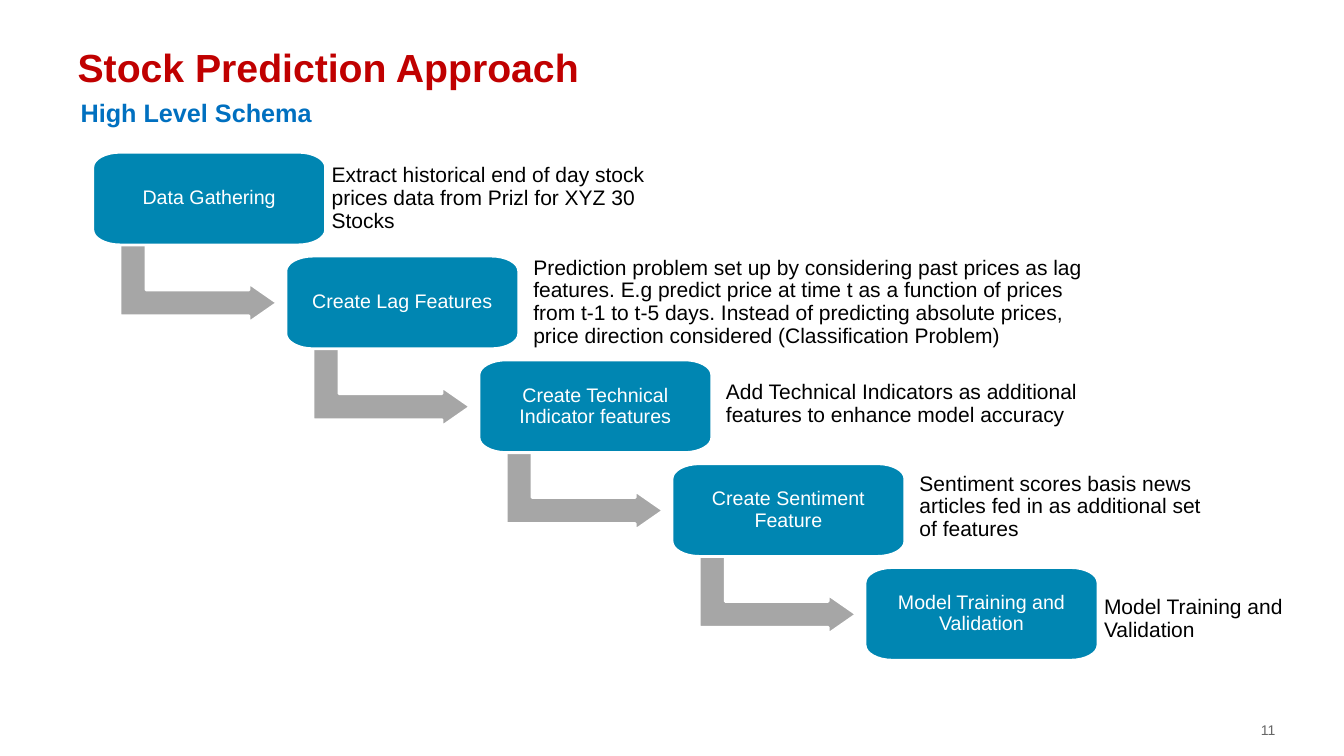
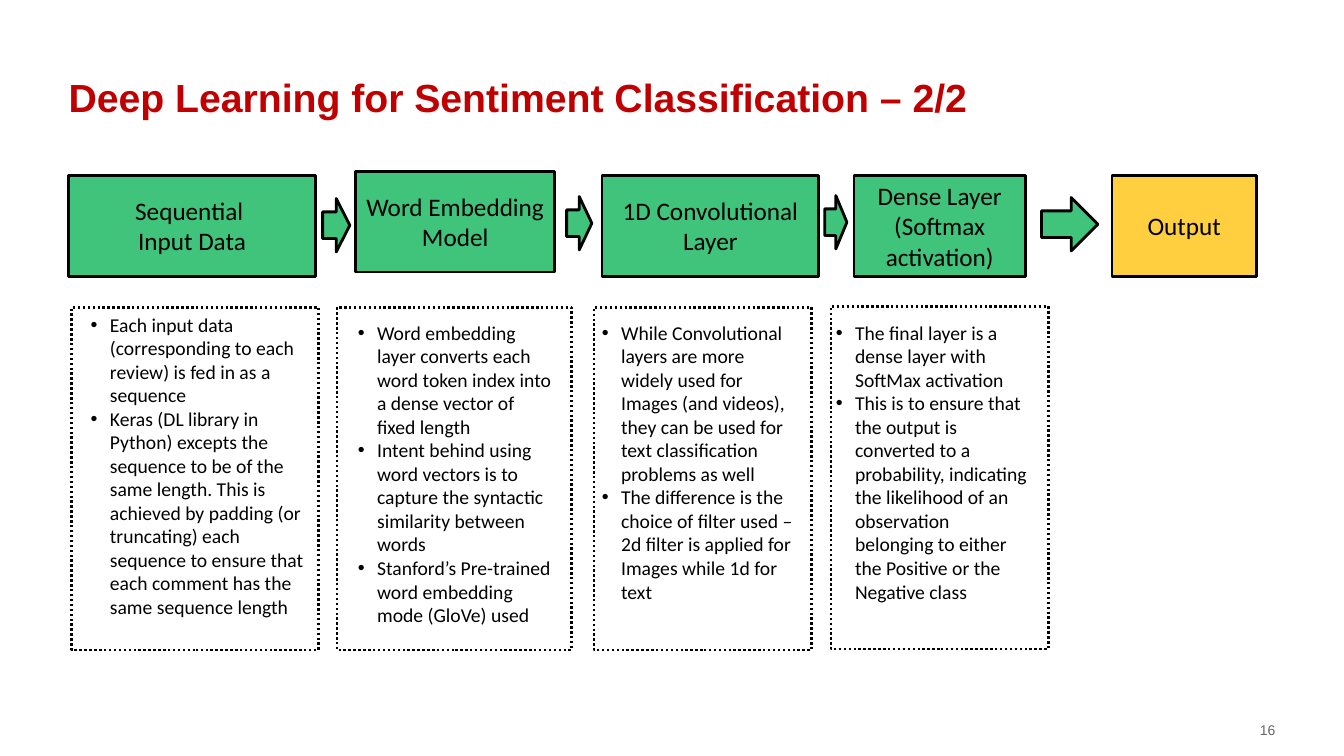
from dataclasses import dataclass

from lxml.etree import SubElement
from pptx import Presentation
from pptx.dml.color import RGBColor
from pptx.enum.dml import MSO_LINE
from pptx.enum.shapes import MSO_SHAPE
from pptx.enum.text import MSO_ANCHOR, MSO_AUTO_SIZE, PP_ALIGN
from pptx.oxml.ns import qn
from pptx.util import Inches, Pt


@dataclass(frozen=True)
class Theme:
    title: str = "C00000"
    subtitle: str = "0070C0"
    step: str = "0086B2"
    bend: str = "A6A6A6"
    layer: str = "00B050"
    output: str = "FFC000"
    number: str = "666666"
    black: str = "000000"
    white: str = "FFFFFF"
    head_font: str = "Arial"
    flow_font: str = "Calibri"
    title_size: float = 28
    subtitle_size: float = 18
    step_size: float = 14
    detail_size: float = 15
    layer_size: float = 18
    list_size: float = 14
    number_size: float = 10


T = Theme()

# Step name, description, description left, top and width
STEPS = [
    ("Data Gathering",
     "Extract historical end of day stock prices data from Prizl for XYZ 30 Stocks",
     3.23, 1.6, 3.43),
    ("Create Lag Features",
     "Prediction problem set up by considering past prices as lag features. "
     "E.g predict price at time t as a function of prices from t-1 to t-5 days. "
     "Instead of predicting absolute prices, price direction considered "
     "(Classification Problem)",
     5.23, 2.63, 5.66),
    ("Create Technical Indicator features",
     "Add Technical Indicators as additional features to enhance model accuracy",
     7.14, 3.64, 4.01),
    ("Create Sentiment Feature",
     "Sentiment scores basis news articles fed in as additional set of features",
     9.06, 4.66, 2.98),
    ("Model Training and Validation", "Model Training and Validation",
     10.89, 5.77, 2.23),
]
STEP_LEFT, STEP_TOP = 0.92, 1.51
LAST_LEFT, LAST_TOP = 8.58, 5.63
STEP_DX = (LAST_LEFT - STEP_LEFT) / (len(STEPS) - 1)
STEP_DY = (LAST_TOP - STEP_TOP) / (len(STEPS) - 1)
STEP_W, STEP_H = 2.31, 0.92

# Paragraphs, left, top, width, colour
LAYERS = [
    (["Sequential ", "Input Data"], 0.68, 1.74, 2.45, T.layer),
    (["Word Embedding Model"], 3.53, 1.7, 1.97, T.layer),
    (["1D Convolutional Layer"], 5.97, 1.74, 2.15, T.layer),
    (["Dense Layer (Softmax activation)"], 8.47, 1.74, 1.7, T.layer),
    (["Output"], 11.03, 1.74, 1.43, T.output),
]
# Left, top, width
ARROWS = [(3.2, 1.97, 0.27), (5.62, 1.95, 0.25), (8.18, 1.94, 0.22), (10.33, 1.96, 0.56)]

# Frame left, top, width; list left, top, width; items
NOTES = [
    ((0.71, 3.05, 2.45), (0.9, 3.05, 2.3), [
        "Each input data (corresponding to each review) is fed in as a sequence",
        "Keras (DL library in Python) excepts the sequence to be of the same length. "
        "This is achieved by padding (or truncating) each sequence to ensure that "
        "each comment has the same sequence length"]),
    ((3.34, 3.05, 2.33), (3.55, 3.13, 2.04), [
        "Word embedding layer converts each word token index into a dense vector "
        "of fixed length",
        "Intent behind using word vectors is to capture the syntactic similarity "
        "between words",
        "Stanford’s Pre-trained word embedding mode (GloVe) used"]),
    ((5.89, 3.05, 2.16), (5.97, 3.13, 2.04), [
        "While Convolutional layers are more widely used for Images (and videos), "
        "they can be used for text classification problems as well",
        "The difference is the choice of filter used – 2d filter is applied for "
        "Images while 1d for text"]),
    ((8.24, 3.04, 2.16), (8.29, 3.13, 2.04), [
        "The final layer is a dense layer with SoftMax activation",
        "This is to ensure that the output is converted to a probability, indicating "
        "the likelihood of an observation belonging to either the Positive or the "
        "Negative class"]),
]
NOTE_H = 3.4


def rgb(color):
    return RGBColor.from_string(color)


def place(sp, left, top, width, height):
    sp.left, sp.top, sp.width, sp.height = map(Inches, (left, top, width, height))


def set_bullet(p, char=None, indent=0.0):
    """Bullet with a hanging indent, or none when no character is given."""
    pPr = p._p.get_or_add_pPr()
    pPr.set("marL", str(Inches(indent)))
    pPr.set("indent", str(-Inches(indent)))
    if char:
        SubElement(pPr, qn("a:buFont")).set("typeface", "Arial")
        SubElement(pPr, qn("a:buChar")).set("char", char)
    else:
        SubElement(pPr, qn("a:buNone"))


def write(sp, lines, font, size, color, bold=False, align=PP_ALIGN.LEFT,
          anchor=MSO_ANCHOR.MIDDLE, insets=(0.1, 0.05, 0.1, 0.05),
          spacing=None, bullet=None, indent=0.0):
    tf = sp.text_frame
    tf.word_wrap = True
    tf.auto_size = MSO_AUTO_SIZE.NONE
    tf.vertical_anchor = anchor
    tf.margin_left, tf.margin_top, tf.margin_right, tf.margin_bottom = map(Inches, insets)
    for i, line in enumerate(lines):
        p = tf.add_paragraph() if i else tf.paragraphs[0]
        set_bullet(p, bullet, indent)
        p.alignment = align
        p.space_before = Pt(0)
        if spacing:
            p.line_spacing = spacing
        r = p.add_run()
        r.text = line
        r.font.name, r.font.size, r.font.bold = font, Pt(size), bold
        r.font.color.rgb = rgb(color)


def style(sp, fill=None, line=None, width=0, opacity=None):
    sp.shadow.inherit = False
    if fill:
        sp.fill.solid()
        sp.fill.fore_color.rgb = rgb(fill)
        if opacity:
            clr = sp.fill._xPr.find(qn("a:solidFill"))[0]
            SubElement(clr, qn("a:alpha")).set("val", str(opacity * 1000))
    else:
        sp.fill.background()
    if line:
        sp.line.color.rgb = rgb(line)
        sp.line.width = Pt(width)
    else:
        sp.line.fill.background()


def add_shape(s, kind, left, top, width, height):
    return s.shapes.add_shape(kind, *map(Inches, (left, top, width, height)))


def new_slide(prs, layout, title, left, bottom, number):
    s = prs.slides.add_slide(prs.slide_layouts.get_by_name(layout))
    place(s.shapes.title, left, 0, 11.97, bottom)
    write(s.shapes.title, [title], T.head_font, T.title_size, T.title, bold=True,
          anchor=MSO_ANCHOR.BOTTOM, insets=(0, 0.07, 0, 0))
    box = s.shapes.add_textbox(*map(Inches, (11.91, 7.15, 0.74, 0.18)))
    write(box, [number], T.head_font, T.number_size, T.number,
          align=PP_ALIGN.RIGHT, insets=(0.13, 0.07, 0, 0.07))
    return s


def add_step_box(s, left, top, rx=0.27, ry=0.15, pull=0.55):
    """Rectangle with four curved corners, wider than they are high."""
    right, bottom = left + STEP_W, top + STEP_H
    # Corner, then where its curve starts and ends, clockwise
    corners = [
        ((left, top), (left, top + ry), (left + rx, top)),
        ((right, top), (right - rx, top), (right, top + ry)),
        ((right, bottom), (right, bottom - ry), (right - rx, bottom)),
        ((left, bottom), (left + rx, bottom), (left, bottom - ry)),
    ]
    points = []
    for corner, start, end in corners:
        c1, c2 = ([a + pull * (b - a) for a, b in zip(p, corner)] for p in (start, end))
        points += [[Inches(v) for v in p] for p in (start, c1, c2, end)]
    outline = s.shapes.build_freeform(*points[0])
    outline.add_line_segments(points[1:], close=True)
    box = outline.convert_to_shape()
    path = box._element.find(".//" + qn("a:path"))
    lines = path.findall(qn("a:lnTo"))
    for k in range(0, len(lines), 4):
        curve = path.makeelement(qn("a:cubicBezTo"))
        lines[k].addprevious(curve)
        for ln in lines[k:k + 3]:
            curve.append(ln[0])
            path.remove(ln)
    return box


def build_approach(prs):
    s = new_slide(prs, "Title and Content", "Stock Prediction Approach", 0.77, 0.9, "11")
    subtitle = s.placeholders[1]
    place(subtitle, 0.8, 0.9, 12.04, 0.91)
    write(subtitle, ["High Level Schema"], T.head_font, T.subtitle_size, T.subtitle,
          bold=True, anchor=MSO_ANCHOR.TOP, insets=(0, 0.07, 0, 0.07))
    for i, (name, detail, x, y, width) in enumerate(STEPS):
        left, top = STEP_LEFT + i * STEP_DX, STEP_TOP + i * STEP_DY
        if i < len(STEPS) - 1:
            bend = add_shape(s, MSO_SHAPE.BENT_UP_ARROW, left + 0.66, top + 0.52, 0.78, 1.56)
            bend.rotation = 90
            for k, value in enumerate((0.33, 0.25, 0.36)):
                bend.adjustments[k] = value
            style(bend, T.bend, T.white, 2)
        box = add_step_box(s, left, top)
        style(box, T.step, T.white, 2)
        write(box, [name], T.head_font, T.step_size, T.white, align=PP_ALIGN.CENTER,
              insets=(0.11,) * 4, spacing=0.9)
        note = add_shape(s, MSO_SHAPE.RECTANGLE, x, y, width, 0.74)
        style(note)
        write(note, [detail], T.head_font, T.detail_size, T.black,
              insets=(0.06,) * 4, spacing=0.9)


def build_layers(prs):
    s = new_slide(prs, "Comparison", "Deep Learning for Sentiment Classification – 2/2",
                  0.68, 1.19, "16")
    for lines, left, top, width, color in LAYERS:
        box = add_shape(s, MSO_SHAPE.RECTANGLE, left, top, width, 1)
        style(box, color, T.black, 2, opacity=75)
        write(box, lines, T.flow_font, T.layer_size, T.black, align=PP_ALIGN.CENTER)
    for left, top, width in ARROWS:
        arrow = add_shape(s, MSO_SHAPE.RIGHT_ARROW, left, top, width, 0.53)
        style(arrow, T.layer, T.black, 2, opacity=75)
    for idx, (frame_at, list_at, items) in enumerate(NOTES, start=1):
        frame = add_shape(s, MSO_SHAPE.RECTANGLE, *frame_at, NOTE_H)
        style(frame, T.white, T.black, 1.75)
        frame.line.dash_style = MSO_LINE.ROUND_DOT
        body = s.placeholders[idx]
        frame._element.addnext(body._element)  # the list lies on its frame
        place(body, *list_at, NOTE_H)
        write(body, items, T.flow_font, T.list_size, T.black, anchor=MSO_ANCHOR.TOP,
              insets=(0, 0.05, 0.1, 0.05), bullet="•", indent=0.19)


def main():
    prs = Presentation()
    prs.slide_width, prs.slide_height = Inches(13.33), Inches(7.5)
    build_approach(prs)
    build_layers(prs)
    prs.save("out.pptx")


if __name__ == "__main__":
    main()
